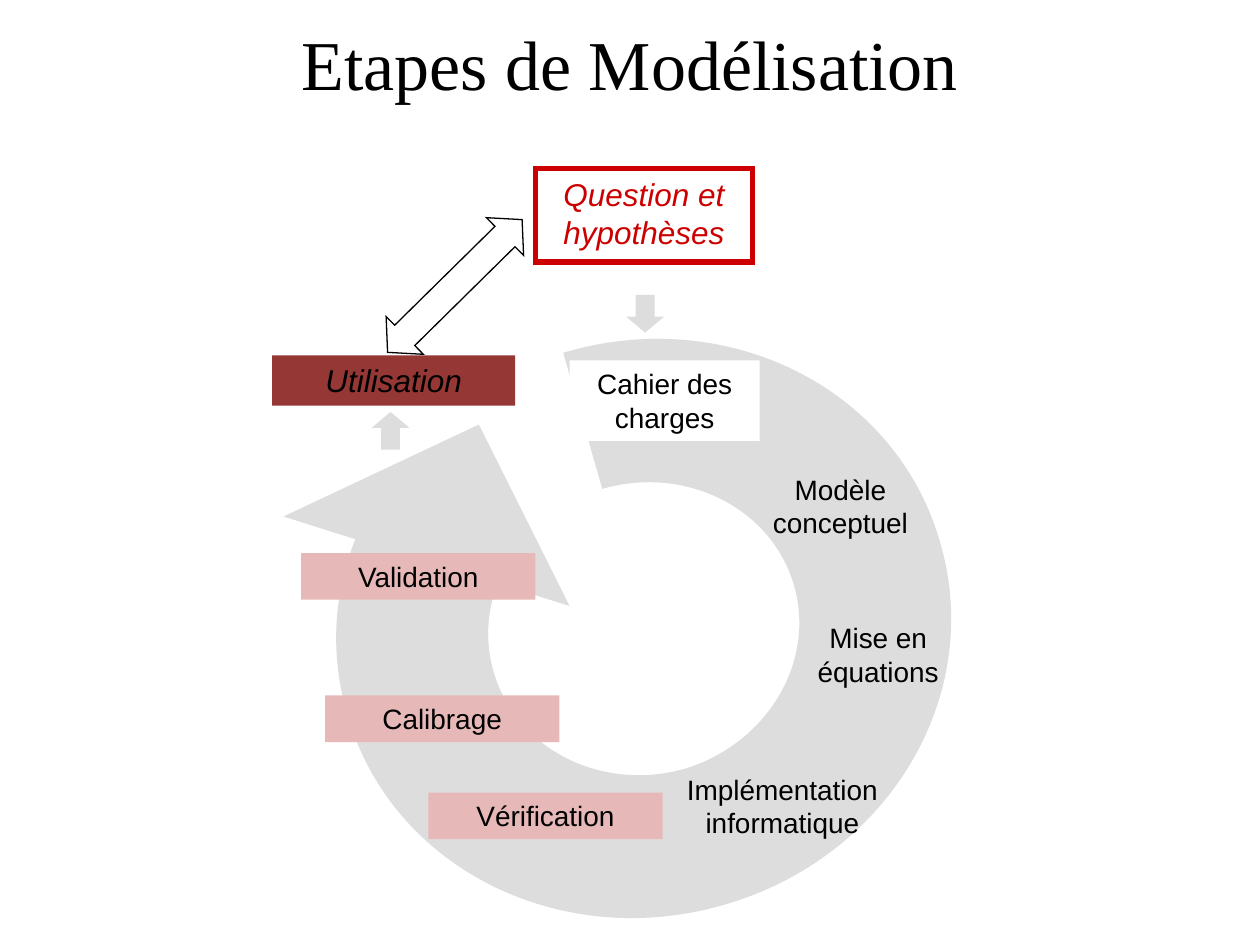
from dataclasses import dataclass
from math import cos, radians, sin

from lxml import etree
from pptx import Presentation
from pptx.dml.color import RGBColor
from pptx.enum.shapes import MSO_SHAPE
from pptx.enum.text import MSO_ANCHOR, MSO_AUTO_SIZE, PP_ALIGN
from pptx.oxml.ns import qn
from pptx.util import Inches, Pt

RECTANGLE = MSO_SHAPE.RECTANGLE
DOWN_ARROW = MSO_SHAPE.DOWN_ARROW
DOUBLE_ARROW = MSO_SHAPE.UP_DOWN_ARROW
CENTER = PP_ALIGN.CENTER
TOP = MSO_ANCHOR.TOP
MIDDLE = MSO_ANCHOR.MIDDLE
GROW = MSO_AUTO_SIZE.SHAPE_TO_FIT_TEXT
NO_RESIZE = MSO_AUTO_SIZE.NONE
TITLE_ONLY = 5


@dataclass(frozen=True)
class Theme:
    """Colours, fonts and type sizes of the slide."""
    black: str = "000000"
    white: str = "FFFFFF"
    red: str = "CC0000"
    dark_red: str = "953735"
    pink: str = "E6B9B8"
    gray: str = "DDDDDD"
    title_font: str = "Times New Roman"
    body_font: str = "Arial"
    title_size: int = 40
    key_size: int = 18
    step_size: int = 16


THEME = Theme()

# Ring arrow: frame before rotation, and outline as it appears once rotated.
# One pair is a line end, three pairs are a Bezier curve.
RING_BOX = (0.83, 0.53, 4.57, 4.91)
RING_ROTATION = 73.6
RING_START = (1.95, 2.63)
RING_SEGMENTS = [
    [(1.86, 2.86), (1.85, 3.11), (1.92, 3.34)],
    [(2.1, 3.95), (2.78, 4.29), (3.44, 4.1)],
    [(4.09, 3.9), (4.48, 3.25), (4.3, 2.64)],
    [(4.12, 2.03), (3.44, 1.69), (2.78, 1.88)],
    [(2.47, 0.8)],
    [(3.77, 0.41), (5.11, 1.08), (5.46, 2.3)],
    [(5.82, 3.51), (5.06, 4.8), (3.75, 5.18)],
    [(2.45, 5.56), (1.11, 4.89), (0.76, 3.68)],
    [(0.62, 3.22), (0.64, 2.73), (0.82, 2.28)],
    [(0.25, 2.1)],
    [(1.8, 1.37)],
    [(2.52, 2.81)],
    [RING_START],
]

# Text, left, top, width, height, fill
STEPS = [
    ("Cahier des charges", 2.52, 0.86, 1.51, 0.64, THEME.white),
    ("Modèle conceptuel", 4, 1.7, 1.34, 0.64, None),
    ("Implémentation informatique", 3.28, 4.08, 1.86, 0.64, None),
    ("Vérification", 1.4, 4.29, 1.86, 0.37, THEME.pink),
    ("Mise en équations", 4.3, 2.88, 1.34, 0.64, None),
    ("Calibrage", 0.58, 3.52, 1.86, 0.37, THEME.pink),
    ("Validation", 0.39, 2.39, 1.86, 0.37, THEME.pink),
]


def write_text(shape, text, size, font=THEME.body_font, color=THEME.black,
               italic=False, anchor=TOP, auto_size=GROW):
    """Write one centred, wrapped paragraph into a shape."""
    frame = shape.text_frame
    frame.word_wrap = True
    frame.auto_size = auto_size
    frame.vertical_anchor = anchor
    paragraph = frame.paragraphs[0]
    paragraph.alignment = CENTER
    run = paragraph.add_run()
    run.text = text
    run.font.name = font
    run.font.size = Pt(size)
    run.font.italic = italic
    run.font.color.rgb = RGBColor.from_string(color)


def paint(shape, fill=None, line=None, line_width=0.75):
    """Set fill and a sharp-cornered outline, and drop the shadow."""
    shape.shadow.inherit = False
    if fill:
        shape.fill.solid()
        shape.fill.fore_color.rgb = RGBColor.from_string(fill)
    else:
        shape.fill.background()
    if line:
        shape.line.color.rgb = RGBColor.from_string(line)
        shape.line.width = Pt(line_width)
        outline = shape._element.spPr.find(qn("a:ln"))
        etree.SubElement(outline, qn("a:miter"), lim="800000")
    else:
        shape.line.fill.background()


def add_label(slide, text, box, size, fill=None, line=None, **text_format):
    """Add a text box, or a rectangle when it has a fill."""
    place = [Inches(value) for value in box]
    if fill:
        shape = slide.shapes.add_shape(RECTANGLE, *place)
        paint(shape, fill, line, line_width=3)
    else:
        shape = slide.shapes.add_textbox(*place)
    write_text(shape, text, size, **text_format)


def add_arrow(slide, kind, box, adjustments, rotation=0, flip=False, **colors):
    """Add a block arrow with its shaft and head proportions."""
    shape = slide.shapes.add_shape(kind, *[Inches(value) for value in box])
    properties = shape._element.spPr
    guides = properties.find(qn("a:prstGeom")).find(qn("a:avLst"))
    for guide in list(guides):
        guides.remove(guide)
    for number, value in enumerate(adjustments, start=1):
        etree.SubElement(guides, qn("a:gd"), name=f"adj{number}",
                         fmla=f"val {round(value * 100000)}")
    shape.rotation = rotation
    if flip:
        properties.find(qn("a:xfrm")).set("flipV", "1")
    paint(shape, **colors)


def unrotate(point, box, angle):
    """Turn a point back around the centre of a box, relative to its corner."""
    left, top, width, height = box
    x, y = point[0] - left - width / 2, point[1] - top - height / 2
    cosine, sine = cos(radians(angle)), sin(radians(angle))
    return x * cosine + y * sine + width / 2, y * cosine - x * sine + height / 2


def add_ring(slide, left, top):
    """Draw the circular arrow as a freeform with true curves."""
    x, y, width, height = RING_BOX
    right, bottom = Inches(left + x + width), Inches(top + y + height)
    start = Inches(left + x), Inches(top + y)
    builder = slide.shapes.build_freeform(*start)
    builder.add_line_segments([(right, start[1]), (right, bottom), (start[0], bottom)])
    ring = builder.convert_to_shape()
    outline = next(ring._element.iter(qn("a:path")))
    for command in list(outline):
        outline.remove(command)
    for index, segment in enumerate([[RING_START]] + RING_SEGMENTS):
        tag = "a:cubicBezTo" if len(segment) == 3 else "a:lnTo"
        command = etree.SubElement(outline, qn(tag if index else "a:moveTo"))
        for point in segment:
            local_x, local_y = unrotate(point, RING_BOX, RING_ROTATION)
            etree.SubElement(command, qn("a:pt"), x=str(Inches(local_x)),
                             y=str(Inches(local_y)))
    etree.SubElement(outline, qn("a:close"))
    ring.rotation = RING_ROTATION
    paint(ring, THEME.gray)


def add_title(slide, left, top, width, height):
    """Place and format the title."""
    title = slide.shapes.title
    title.left, title.top = Inches(left), Inches(top)
    title.width, title.height = Inches(width), Inches(height)
    title.fill.solid()
    title.fill.fore_color.rgb = RGBColor.from_string(THEME.white)
    write_text(title, "Etapes de Modélisation", THEME.title_size,
               font=THEME.title_font, anchor=MIDDLE, auto_size=NO_RESIZE)


def add_question_and_use(slide, left, top):
    """Add the question, the use of the model and their arrows."""
    add_arrow(slide, DOUBLE_ARROW, (left + 1.4, top + 0.52, 0.42, 1.5),
              (0.54, 0.455), rotation=45.4, line=THEME.black)
    add_label(slide, "Utilisation", (left + 0.16, top + 1.82, 1.93, 0.4),
              THEME.key_size, fill=THEME.dark_red, italic=True)
    add_label(slide, "Question et hypothèses", (left + 2.25, top + 0.34, 1.72, 0.74),
              THEME.key_size, fill=THEME.white, line=THEME.red,
              color=THEME.red, italic=True)
    for x, y, flip in ((0.95, 2.27, True), (2.97, 1.34, False)):
        add_arrow(slide, DOWN_ARROW, (left + x, top + y, 0.3, 0.3), (0.5, 0.42),
                  flip=flip, fill=THEME.gray)


def add_cycle(slide, left, top):
    """Add the ring and the modelling steps along it."""
    add_ring(slide, left, top)
    for text, x, y, width, height, fill in STEPS:
        add_label(slide, text, (left + x, top + y, width, height),
                  THEME.step_size, fill=fill)


presentation = Presentation()
presentation.slide_width = Inches(10)
presentation.slide_height = Inches(7.5)
slide = presentation.slides.add_slide(presentation.slide_layouts[TITLE_ONLY])
add_title(slide, 0, 0, 10, 1)
add_question_and_use(slide, 2, 1)
add_cycle(slide, 2, 2)
presentation.save("out.pptx")
